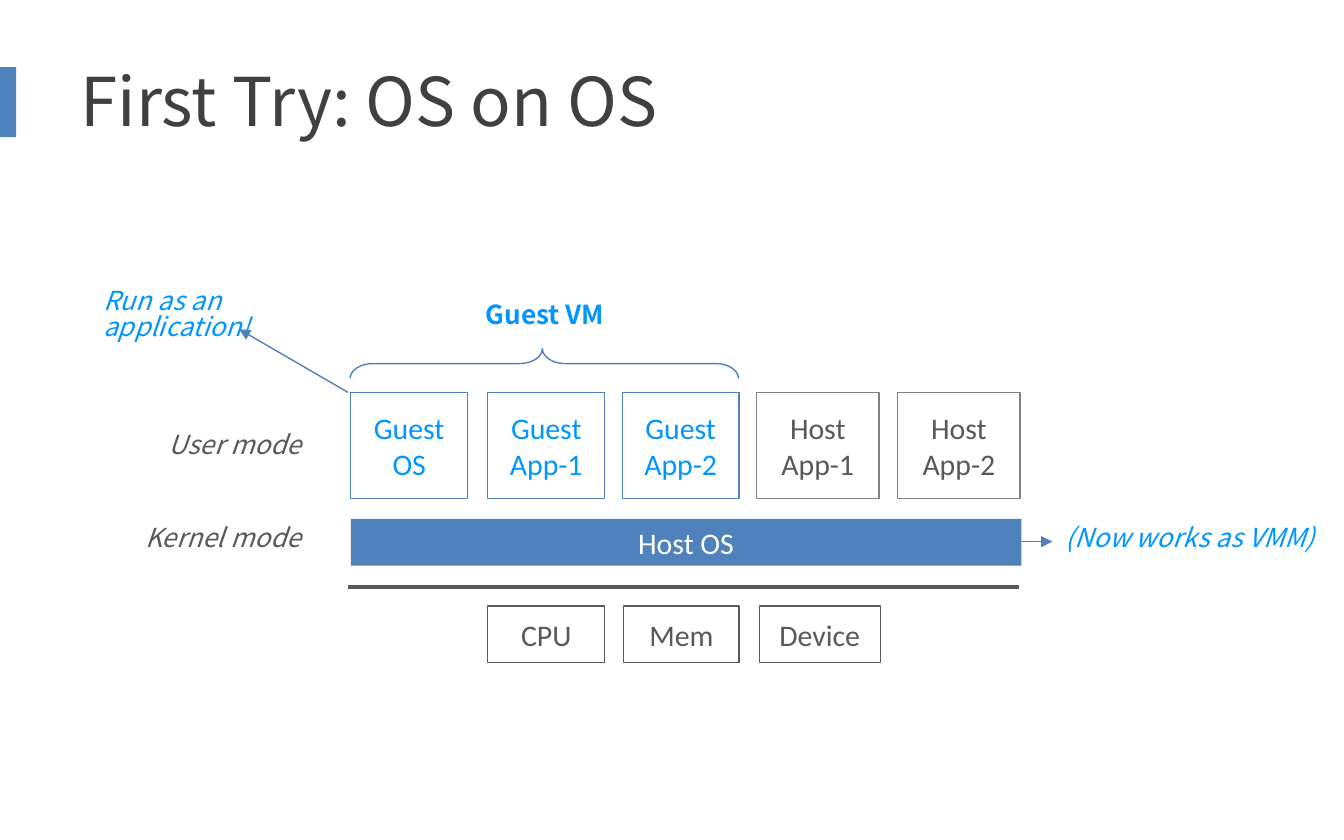
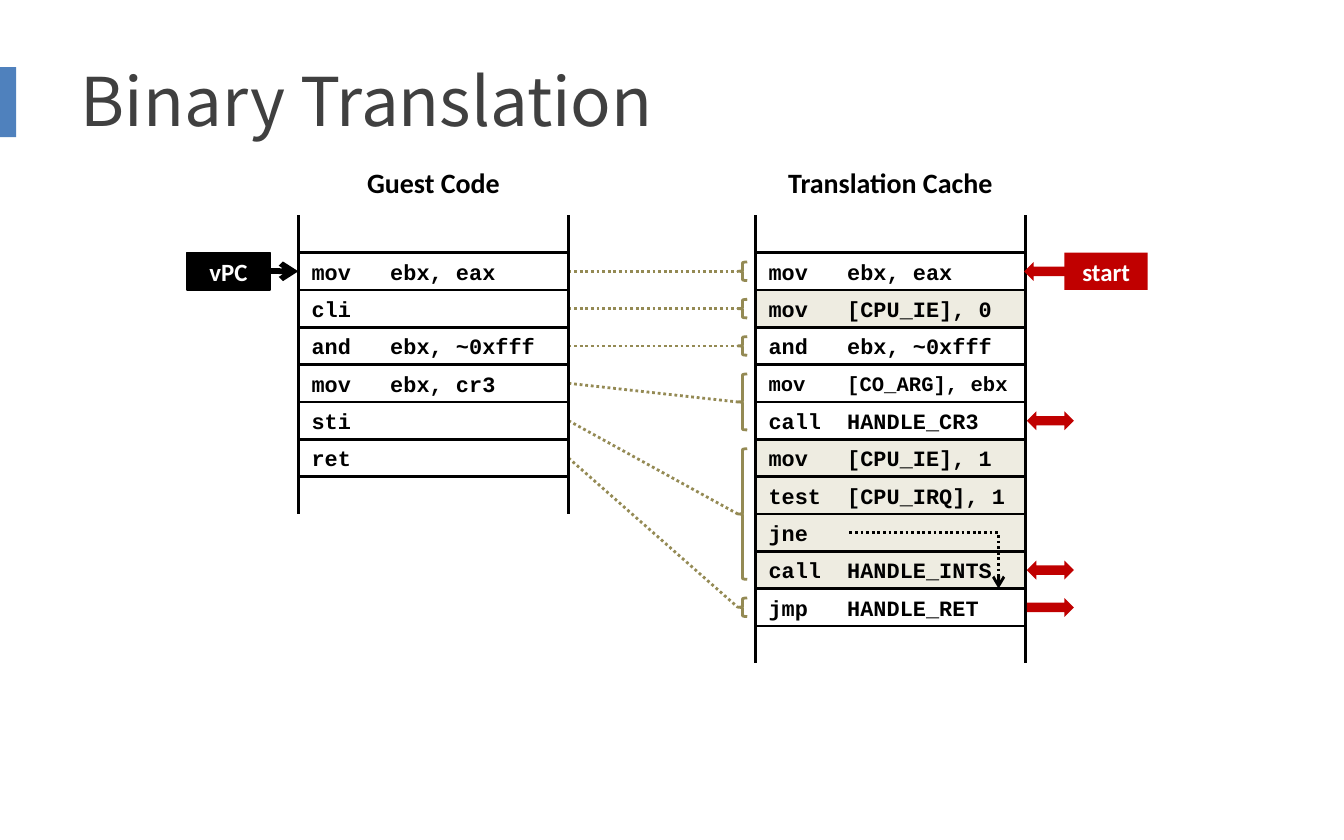
from lxml import etree
from pptx import Presentation
from pptx.dml.color import RGBColor
from pptx.enum.dml import MSO_LINE
from pptx.enum.shapes import MSO_CONNECTOR, MSO_SHAPE
from pptx.enum.text import MSO_ANCHOR, PP_ALIGN
from pptx.oxml.ns import qn
from pptx.util import Inches, Pt

RECT = MSO_SHAPE.RECTANGLE
LEFT_BRACE, RIGHT_BRACE = MSO_SHAPE.LEFT_BRACE, MSO_SHAPE.RIGHT_BRACE
LEFT_ARROW, RIGHT_ARROW = MSO_SHAPE.LEFT_ARROW, MSO_SHAPE.RIGHT_ARROW
BOTH_ARROW = MSO_SHAPE.LEFT_RIGHT_ARROW
STRAIGHT, ELBOW = MSO_CONNECTOR.STRAIGHT, MSO_CONNECTOR.ELBOW
DOTTED = MSO_LINE.ROUND_DOT
LEFT, CENTER, RIGHT = PP_ALIGN.LEFT, PP_ALIGN.CENTER, PP_ALIGN.RIGHT
TOP, MIDDLE = MSO_ANCHOR.TOP, MSO_ANCHOR.MIDDLE

ACCENT = RGBColor(0x4F, 0x81, 0xBD)
BRIGHT = RGBColor(0x00, 0x96, 0xFF)
TITLE = RGBColor(0x40, 0x40, 0x40)
DARK = RGBColor(0x59, 0x59, 0x59)
GRAY = RGBColor(0x80, 0x80, 0x80)
OLIVE = RGBColor(0x94, 0x8A, 0x54)
CREAM = RGBColor(0xEE, 0xEC, 0xE1)
RED = RGBColor(0xC0, 0x00, 0x00)
BLACK = RGBColor(0x00, 0x00, 0x00)
WHITE = RGBColor(0xFF, 0xFF, 0xFF)

SANS, CJK, MONO = "Calibri", "Noto Sans CJK SC", "Courier New"

ROW = 2.5 / 9
CODE_W = 2.01
INSET = 0.07
GUEST_CODE = ["mov\tebx, eax", "cli", "and\tebx, ~0xfff", "mov\tebx, cr3",
              "sti", "ret"]
CACHE_CODE = ["mov\tebx, eax", "mov\t[CPU_IE], 0", "and\tebx, ~0xfff",
              "mov\t[CO_ARG], ebx", "call\tHANDLE_CR3", "mov\t[CPU_IE], 1",
              "test\t[CPU_IRQ], 1", "jne", "call\tHANDLE_INTS",
              "jmp\tHANDLE_RET"]
SHADED_ROWS = {1, 5, 6, 7, 8}
TRANSLATIONS = [(0, 1), (1, 1), (2, 1), (3, 2), (5, 4), (9, 1)]
EXITS = [(4, BOTH_ARROW), (8, BOTH_ARROW), (9, RIGHT_ARROW)]


def write(tf, text, size, font, color, align=LEFT, bold=False, italic=False):
    p = tf.paragraphs[0]
    p.alignment = align
    r = p.add_run()
    r.text = text
    r.font.size = Pt(size)
    r.font.name = font
    r.font.color.rgb = color
    r.font.bold = bold
    r.font.italic = italic
    return p


def add_shape(s, kind, x, y, w, h, fill=None, line=None, weight=0.75):
    sp = s.shapes.add_shape(kind, Inches(x), Inches(y), Inches(w), Inches(h))
    sp.shadow.inherit = False
    if fill is None:
        sp.fill.background()
    else:
        sp.fill.solid()
        sp.fill.fore_color.rgb = fill
    if line is None:
        sp.line.fill.background()
    else:
        sp.line.color.rgb = line
        sp.line.width = Pt(weight)
    sp.text_frame.vertical_anchor = MIDDLE
    return sp


def add_line(s, x1, y1, x2, y2, color, weight, dash=None, head=None,
             kind=STRAIGHT):
    cxn = s.shapes.add_connector(kind, Inches(x1), Inches(y1), Inches(x2),
                                 Inches(y2))
    cxn.line.color.rgb = color
    cxn.line.width = Pt(weight)
    if dash is not None:
        cxn.line.dash_style = dash
    spPr = cxn.element.spPr
    if head:
        etree.SubElement(spPr.find(qn("a:ln")), qn("a:tailEnd"), type=head)
    etree.SubElement(spPr, qn("a:effectLst"))
    return cxn


def add_label(s, x, y, w, h, text, size, font, color, wrap=True, **style):
    tf = s.shapes.add_textbox(Inches(x), Inches(y), Inches(w),
                              Inches(h)).text_frame
    tf.word_wrap = wrap
    tf.vertical_anchor = TOP
    return write(tf, text, size, font, color, **style)


def add_note(s, x, y, w, text, color, **style):
    p = add_label(s, x, y, w, 0.34, text, 14, CJK, color, **style)
    p.line_spacing = 0.82


def add_box(s, x, y, w, h, text, color, fill=None, line=None):
    sp = add_shape(s, RECT, x, y, w, h, fill, line)
    write(sp.text_frame, text, 16, SANS, color, CENTER)


def add_tag(s, x, y, text, fill, line=None):
    sp = add_shape(s, RECT, x, y, 0.62, ROW, fill, line)
    write(sp.text_frame, text, 13.3, SANS, WHITE, CENTER, bold=True)


def style_layout(prs, layout):
    title = layout.placeholders[0]
    title.left, title.top = Inches(0.5), Inches(0.25)
    title.width, title.height = Inches(9), Inches(0.98)
    s = prs.slides.add_slide(layout)
    band = add_shape(s, RECT, -0.06, 0.5, 0.18, 0.52, ACCENT)
    layout.shapes.element.insert(2, band.element)
    return s


def set_title(s, text):
    tf = s.shapes.title.text_frame
    tf.vertical_anchor = MIDDLE
    write(tf, text, 36, CJK, TITLE)


def user_mode(s, x, y):
    boxes = [("Guest OS", 0, 0.87), ("Guest App-1", 1.02, 0.87),
             ("Guest App-2", 2.02, 0.87), ("Host App-1", 3.02, 0.91),
             ("Host App-2", 4.07, 0.91)]
    for text, dx, w in boxes:
        guest = text.startswith("Guest")
        add_box(s, x + dx, y, w, 0.79, text, BRIGHT if guest else DARK,
                line=ACCENT if guest else GRAY)
    add_note(s, x - 2.33, y + 0.26, 2.06, "User mode", DARK, align=RIGHT,
             italic=True)
    brace = add_shape(s, RIGHT_BRACE, x + 1.33, y - 1.66, 0.22, 2.89,
                      line=ACCENT)
    brace.rotation = 270
    brace.adjustments[0], brace.adjustments[1] = 0.78, 0.495
    add_note(s, x + 0.69, y - 0.71, 1.51, "Guest VM", BRIGHT, align=CENTER,
             bold=True)
    add_note(s, x - 1.94, y - 0.81, 2.2, "Run as an application!", BRIGHT,
             italic=True)
    add_line(s, x - 0.02, y, x - 0.83, y - 0.47, ACCENT, 0.75,
             head="triangle")


def kernel_mode(s, x, y, w):
    add_box(s, x, y, w, 0.35, "Host OS", WHITE, fill=ACCENT)
    add_note(s, x - 2.33, y + 0.01, 2.06, "Kernel mode", DARK, align=RIGHT,
             italic=True)
    add_line(s, x + w, y + 0.17, x + w + 0.23, y + 0.17, ACCENT, 0.75,
             head="triangle")
    add_note(s, x + w + 0.23, y + 0.01, 2.2, "(Now works as VMM)", BRIGHT,
             italic=True)


def hardware(s, x, y, w):
    add_line(s, x - 0.02, y, x + w - 0.02, y, DARK, 2)
    for text, dx, bw in [("CPU", 1.02, 0.87), ("Mem", 2.03, 0.86),
                         ("Device", 3.04, 0.9)]:
        add_box(s, x + dx, y + 0.14, bw, 0.42, text, DARK, line=DARK)


def os_on_os(s):
    set_title(s, "First Try: OS on OS")
    user_mode(s, 2.61, 2.92)
    kernel_mode(s, 2.61, 3.86, 4.99)
    hardware(s, 2.61, 4.37, 4.99)


def code_column(s, x, y, heading, code, shaded=()):
    for i, text in enumerate(code):
        sp = add_shape(s, RECT, x, y + i * ROW, CODE_W, ROW,
                       CREAM if i in shaded else WHITE, BLACK, 1.5)
        tf = sp.text_frame
        tf.word_wrap = False
        size = 11 if "CO_ARG" in text else 11.7
        p = write(tf, text, size, MONO, BLACK, bold=True)
        tabs = etree.SubElement(p._p.get_or_add_pPr(), qn("a:tabLst"))
        etree.SubElement(tabs, qn("a:tab"), pos=str(Pt(42.12)), algn="l")
    for rail in (x, x + CODE_W):
        add_line(s, rail, y - ROW, rail, y + (len(code) + 1) * ROW, BLACK, 1.5)
    add_label(s, x + CODE_W / 2 - 0.87, y - 0.7, 1.74, 0.35, heading, 15,
              SANS, BLACK, wrap=False, align=CENTER, bold=True)


def translation_links(s, x1, x2, y):
    for i, (first, count) in enumerate(TRANSLATIONS):
        add_line(s, x1, y + (i + 0.5) * ROW, x2,
                 y + (first + count / 2) * ROW, OLIVE, 1.5, DOTTED)
        add_shape(s, LEFT_BRACE, x2, y + first * ROW + INSET, 0.07,
                  count * ROW - 2 * INSET, line=OLIVE, weight=1.5)


def cache_arrows(s, x, y):
    for row, kind in EXITS:
        add_shape(s, kind, x, y + row * ROW + INSET, 0.35, 0.14, RED)
    add_tag(s, x + 0.28, y, "start", RED)
    add_shape(s, LEFT_ARROW, x - 0.02, y + INSET, 0.37, 0.14, RED)


def jump_arrow(s, x, y):
    cxn = add_line(s, x, y + 7.5 * ROW, x + 1.11, y + 9 * ROW, BLACK, 1.5,
                   DOTTED, "arrow", ELBOW)
    av = cxn.element.spPr.find(qn("a:prstGeom")).get_or_add_avLst()
    etree.SubElement(av, qn("a:gd"), name="adj1", fmla="val 100000")


def binary_translation(s):
    set_title(s, "Binary Translation")
    guest_x, cache_x, y = 2.22, 5.62, 1.88
    translation_links(s, guest_x + CODE_W, cache_x - 0.13, y)
    add_line(s, 2.01, y + ROW / 2, guest_x, y + ROW / 2, BLACK, 3,
             head="arrow")
    add_tag(s, 1.39, y, "vPC", BLACK, BLACK)
    code_column(s, guest_x, y, "Guest Code", GUEST_CODE)
    code_column(s, cache_x, y, "Translation Cache", CACHE_CODE, SHADED_ROWS)
    jump_arrow(s, cache_x + 0.7, y)
    cache_arrows(s, cache_x + CODE_W + 0.01, y)


def main():
    prs = Presentation()
    prs.slide_width, prs.slide_height = Inches(10), Inches(6.25)
    layout = prs.slide_layouts[5]
    os_on_os(style_layout(prs, layout))
    binary_translation(prs.slides.add_slide(layout))
    prs.save("out.pptx")


if __name__ == "__main__":
    main()
